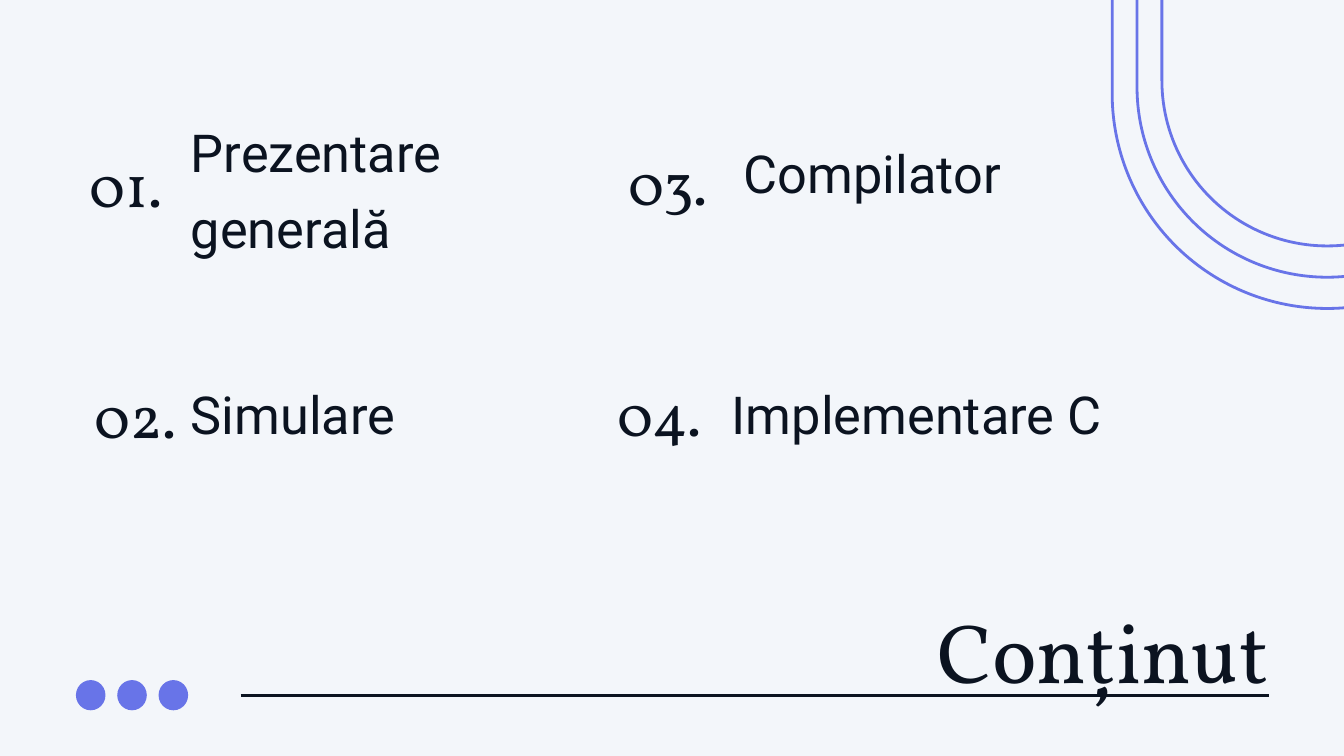
"""Build the contents slide: four numbered topics, a title and line decoration."""
from pptx import Presentation
from pptx import util as u
from pptx.dml.color import RGBColor
from pptx.enum import shapes, text
from pptx.oxml.ns import qn
from lxml import etree

COLORS = {"bg": "F3F6FA", "ink": "0B1320", "accent": "6874E8"}


def rgb(name):
    return RGBColor.from_string(COLORS[name])


def set_text(sp, box, words, font, size, align, spacing):
    sp.left, sp.top, sp.width, sp.height = [u.Inches(v) for v in box]
    tf = sp.text_frame
    tf.text = words
    tf.word_wrap = True
    tf.auto_size = text.MSO_AUTO_SIZE.NONE
    tf.vertical_anchor = text.MSO_ANCHOR.TOP
    tf.margin_left = tf.margin_right = tf.margin_top = tf.margin_bottom = 0
    p = tf.paragraphs[0]
    p.alignment = align
    p.line_spacing = spacing
    p.space_before = u.Pt(0)
    r = p.runs[0]
    r.font.name = font
    r.font.size = u.Pt(size)
    r.font.color.rgb = rgb("ink")


prs = Presentation()
prs.slide_width, prs.slide_height = u.Inches(20), u.Inches(11.25)
s = prs.slides.add_slide(prs.slide_layouts[5])
s.background.fill.solid()
s.background.fill.fore_color.rgb = rgb("bg")

set_text(s.shapes.title, (9.55, 8.62, 9.33, 1.82), "Conținut",
         "Vollkorn", 90, text.PP_ALIGN.RIGHT, 1.2)

topics = [
    ("01.", (1.13, 1.77, 1.49, 1.19), "Prezentare generală", (2.84, 1.61, 5.98, 2.26)),
    ("02.", (1.35, 5.21, 1.34, 1.19), "Simulare", (2.84, 5.5, 5.39, 1.13)),
    ("03.", (9.29, 1.74, 1.31, 1.19), "Compilator", (11.07, 1.91, 5.39, 1.13)),
    ("04.", (9.04, 5.18, 1.56, 1.19), "Implementare C", (10.89, 5.5, 5.76, 1.13)),
]
for number, number_box, topic, topic_box in topics:
    set_text(s.shapes.add_textbox(0, 0, 0, 0), number_box, number,
             "Vollkorn", 64, text.PP_ALIGN.CENTER, 1.4)
    set_text(s.shapes.add_textbox(0, 0, 0, 0), topic_box, topic,
             "Roboto", 56, text.PP_ALIGN.LEFT, 1.2)

rule = s.shapes.add_connector(shapes.MSO_CONNECTOR.STRAIGHT, u.Inches(3.58),
                              u.Inches(10.35), u.Inches(18.88), u.Inches(10.35))
rule.line.color.rgb = rgb("ink")
rule.line.width = u.Pt(3)
etree.SubElement(rule._element.spPr, qn("a:effectLst"))

for i in range(3):
    dot = s.shapes.add_shape(shapes.MSO_SHAPE.OVAL, u.Inches(1.13 + 0.615 * i),
                             u.Inches(10.12), u.Inches(0.44), u.Inches(0.45))
    dot.shadow.inherit = False
    dot.fill.solid()
    dot.fill.fore_color.rgb = rgb("accent")
    dot.line.fill.background()

for i in range(3):
    left, top = 16.55 + 0.37 * i, -3.3 + 0.455 * i
    arch = s.shapes.add_shape(shapes.MSO_SHAPE.ROUND_2_SAME_RECTANGLE,
                              u.Inches(left), u.Inches(top),
                              u.Inches(6.4 - 0.74 * i), u.Inches(7.89 - 0.92 * i))
    arch.adjustments[0], arch.adjustments[1] = 0.5, 0
    arch.rotation = 180
    arch.shadow.inherit = False
    arch.fill.background()
    arch.line.color.rgb = rgb("accent")
    arch.line.width = u.Pt(3)

prs.save("out.pptx")
